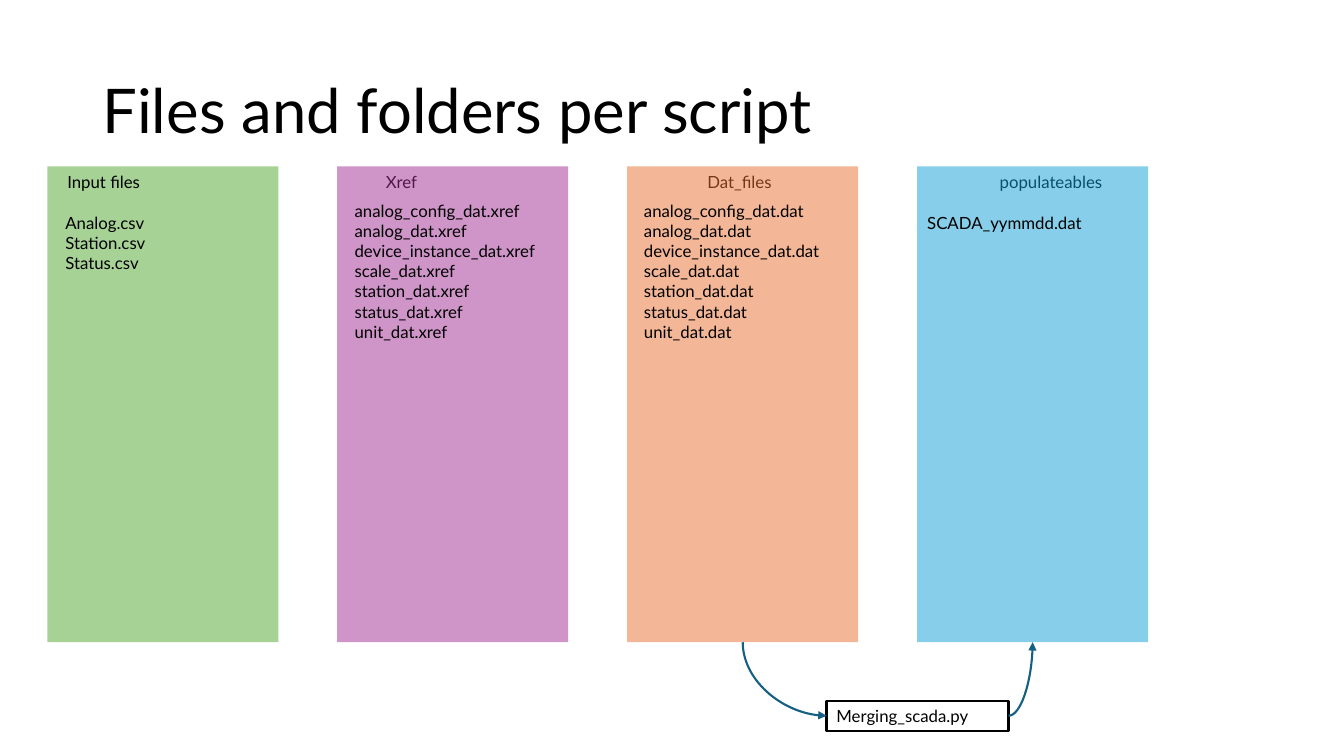
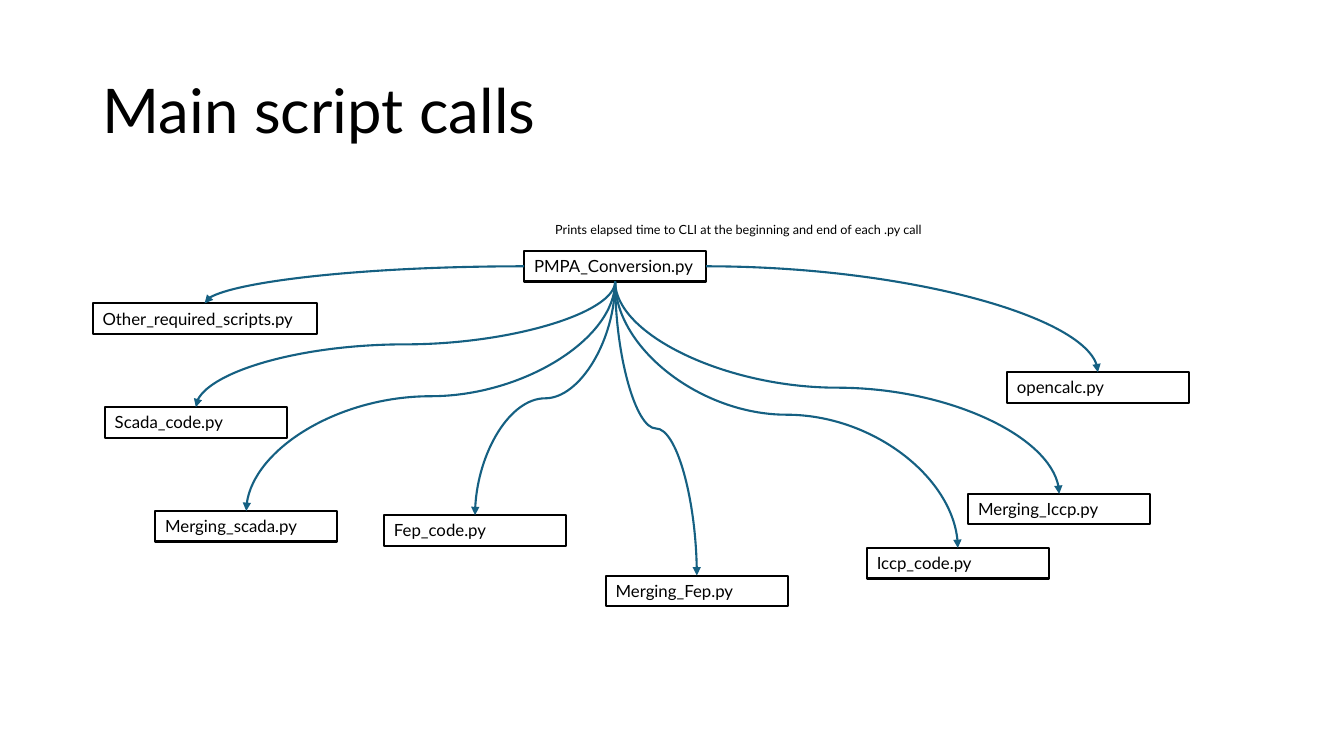
from enum import IntEnum

from lxml.etree import SubElement
from pptx import Presentation
from pptx.dml.color import RGBColor
from pptx.enum.shapes import MSO_CONNECTOR, MSO_SHAPE
from pptx.enum.text import MSO_ANCHOR, MSO_AUTO_SIZE, PP_ALIGN
from pptx.oxml.ns import qn
from pptx.util import Pt

BLACK = RGBColor(0x00, 0x00, 0x00)
WHITE = RGBColor(0xFF, 0xFF, 0xFF)
TEAL = RGBColor(0x15, 0x60, 0x82)
GREEN = RGBColor(0x4E, 0xA7, 0x2E)
PURPLE = RGBColor(0xA0, 0x2B, 0x93)
ORANGE = RGBColor(0xE9, 0x71, 0x32)
BLUE = RGBColor(0x0F, 0x9E, 0xD5)

FONT = "Lato"
TITLE_ONLY = 5
LINE_WIDTH = Pt(1.5)
SCRIPT_WIDTH, SCRIPT_HEIGHT = 130, 21.8
PANEL_LEFT, PANEL_TOP, PANEL_STEP = 33.8, 118.8, 207.1
PANEL_WIDTH, PANEL_HEIGHT = 165, 340

DAT_NAMES = ["analog_config_dat", "analog_dat", "device_instance_dat",
             "scale_dat", "station_dat", "status_dat", "unit_dat"]


class Side(IntEnum):
    """Connection sites of a rectangle."""
    TOP = 0
    LEFT = 1
    BOTTOM = 2
    RIGHT = 3


class Sketch:
    """Holds the deck, its style and the slide being drawn."""

    def __init__(self):
        self.deck = Presentation()
        self.deck.slide_width, self.deck.slide_height = Pt(960), Pt(540)
        self.page = None

    def start_page(self, title):
        layout = self.deck.slide_layouts[TITLE_ONLY]
        self.page = self.deck.slides.add_slide(layout)
        box = self.page.shapes.title
        box.left, box.top, box.width, box.height = Pt(66), Pt(28.75), Pt(828), Pt(104.4)
        self.set_lines(box, [title], 44)
        box.text_frame.vertical_anchor = MSO_ANCHOR.MIDDLE
        box.text_frame.paragraphs[0].line_spacing = 0.9

    def set_lines(self, box, lines, size=12):
        frame = box.text_frame
        frame.text = "\n".join(lines)
        frame.word_wrap = True
        frame.auto_size = MSO_AUTO_SIZE.NONE
        frame.vertical_anchor = MSO_ANCHOR.TOP
        for para in frame.paragraphs:
            para.alignment = PP_ALIGN.LEFT
            for span in para.runs:
                span.font.name = FONT
                span.font.size = Pt(size)
                span.font.color.rgb = BLACK

    def text(self, left, top, width, lines):
        height = 7.2 + 14.4 * len(lines)
        box = self.page.shapes.add_textbox(Pt(left), Pt(top), Pt(width), Pt(height))
        self.set_lines(box, lines)

    def rectangle(self, left, top, width, height, fill):
        box = self.page.shapes.add_shape(
            MSO_SHAPE.RECTANGLE, Pt(left), Pt(top), Pt(width), Pt(height))
        box.shadow.inherit = False
        box.fill.solid()
        box.fill.fore_color.rgb = fill
        box.line.fill.background()
        return box

    def panel(self, column, color):
        """Draw a half-transparent column."""
        box = self.rectangle(PANEL_LEFT + column * PANEL_STEP, PANEL_TOP,
                             PANEL_WIDTH, PANEL_HEIGHT, color)
        tint = box.element.spPr.find(qn("a:solidFill"))[0]
        SubElement(tint, qn("a:alpha"), val="50000")
        return box

    def label(self, text, left, top, width=SCRIPT_WIDTH, height=SCRIPT_HEIGHT,
              outline=BLACK, size=12):
        box = self.rectangle(left, top, width, height, WHITE)
        box.line.color.rgb = outline
        box.line.width = LINE_WIDTH
        self.set_lines(box, [text], size)
        return box

    def arrow(self, source, source_side, target, target_side):
        """Join two boxes with a curved arrow that leaves square to its side."""
        curve = self.page.shapes.add_connector(MSO_CONNECTOR.CURVE, 0, 0, 0, 0)
        curve.begin_connect(source, source_side)
        curve.end_connect(target, target_side)
        properties = curve.element.spPr
        if source_side == Side.BOTTOM:
            self.turn_down(curve)
        if source_side % 2 != target_side % 2:
            properties.find(qn("a:prstGeom")).set("prst", "curvedConnector2")
        curve.line.color.rgb = TEAL
        curve.line.width = LINE_WIDTH
        SubElement(properties.find(qn("a:ln")), qn("a:tailEnd"), type="triangle")
        SubElement(properties, qn("a:effectLst"))

    @staticmethod
    def turn_down(curve):
        """Rotate a connector so that it starts downwards, keeping its ends."""
        across = curve.end_x - curve.begin_x
        down = curve.end_y - curve.begin_y
        middle_x = (curve.begin_x + curve.end_x) // 2
        middle_y = (curve.begin_y + curve.end_y) // 2
        curve.width, curve.height = down, abs(across)
        curve.left, curve.top = middle_x - down // 2, middle_y - abs(across) // 2
        frame = curve.element.spPr.find(qn("a:xfrm"))
        frame.set("rot", "16200000" if across > 0 else "5400000")
        frame.set("flipH", "1" if across > 0 else "0")
        frame.set("flipV", "0")


def draw_files(sketch):
    sketch.start_page("Files and folders per script")
    sketch.panel(0, GREEN)
    for heading, left, width in [("Input files", 41, 73.4), ("Xref", 268.6, 73.4),
                                 ("Dat_files", 498.2, 73.4),
                                 ("populateables", 707, 93.6)]:
        sketch.text(left, PANEL_TOP, width, [heading])
    # The later panels lie over their headings and tint them
    _, dat_panel, scada_panel = [
        sketch.panel(column, color)
        for column, color in enumerate([PURPLE, ORANGE, BLUE], start=1)]

    for left, top, files in [
            (39.6, 148.3, ["Analog.csv", "Station.csv", "Status.csv"]),
            (246.2, 139.7, [name + ".xref" for name in DAT_NAMES]),
            (452.9, 139.7, [name + ".dat" for name in DAT_NAMES]),
            (655.2, 148.3, ["SCADA_yymmdd.dat"])]:
        sketch.text(left, top, PANEL_WIDTH, files)

    merging = sketch.label("Merging_scada.py", 590.4, 500.4)
    sketch.arrow(dat_panel, Side.BOTTOM, merging, Side.LEFT)
    sketch.arrow(merging, Side.RIGHT, scada_panel, Side.BOTTOM)


def draw_calls(sketch):
    sketch.start_page("Main script calls")
    main_script = sketch.label("PMPA_Conversion.py", 374.4, 179.3)
    for name, left, top, width, side in [
            ("Other_required_scripts.py", 66.2, 216.7, 160, Side.LEFT),
            ("Scada_code.py", 74.9, 290.9, SCRIPT_WIDTH, Side.BOTTOM),
            ("Merging_scada.py", 110.9, 365, SCRIPT_WIDTH, Side.BOTTOM),
            ("Fep_code.py", 274.3, 368, SCRIPT_WIDTH, Side.BOTTOM),
            ("Merging_Fep.py", 432.7, 411.1, SCRIPT_WIDTH, Side.BOTTOM),
            ("Iccp_code.py", 619.2, 391.4, SCRIPT_WIDTH, Side.BOTTOM),
            ("Merging_Iccp.py", 691.6, 352.8, SCRIPT_WIDTH, Side.BOTTOM),
            ("opencalc.py", 719.3, 265.9, SCRIPT_WIDTH, Side.RIGHT)]:
        script = sketch.label(name, left, top, width)
        sketch.arrow(main_script, side, script, Side.TOP)
    sketch.label("Prints elapsed time to CLI at the beginning and end of each .py call",
                 389.5, 154.8, 400, 18, outline=WHITE, size=9)


def main():
    sketch = Sketch()
    draw_files(sketch)
    draw_calls(sketch)
    sketch.deck.save("out.pptx")


if __name__ == "__main__":
    main()
